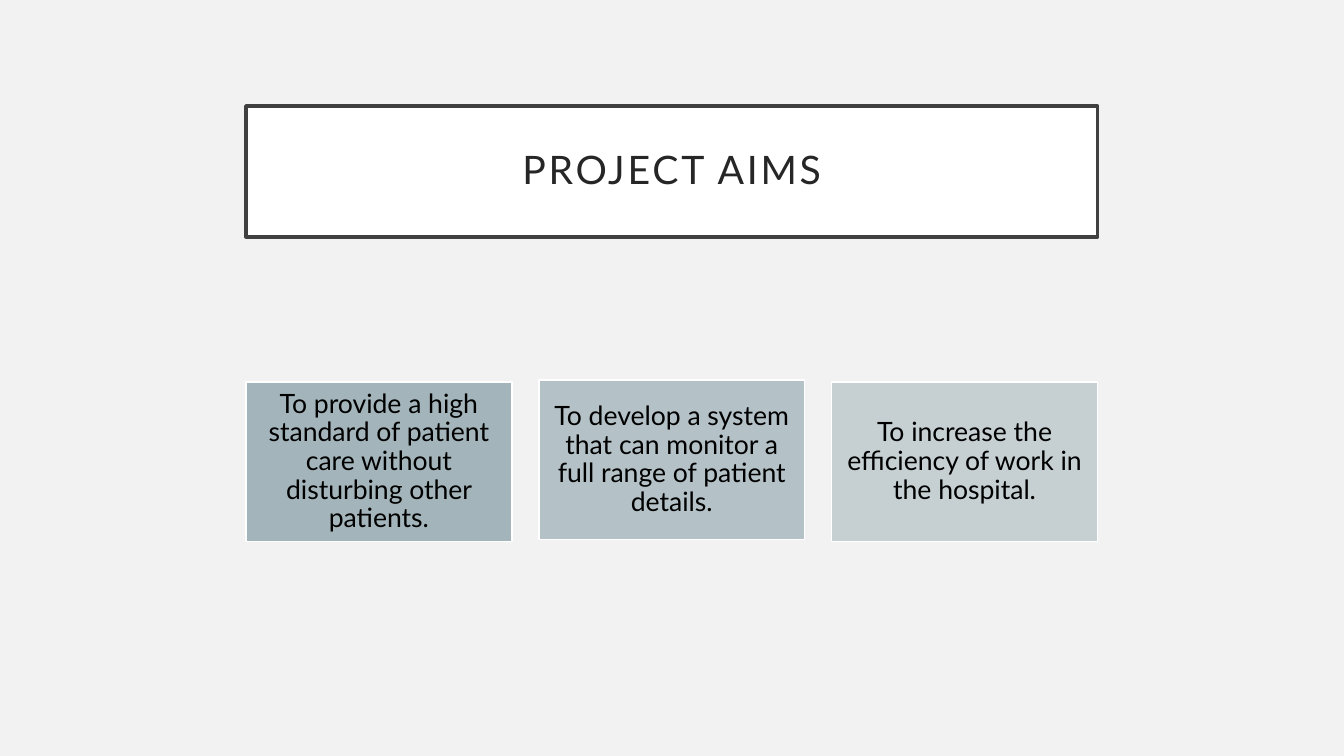
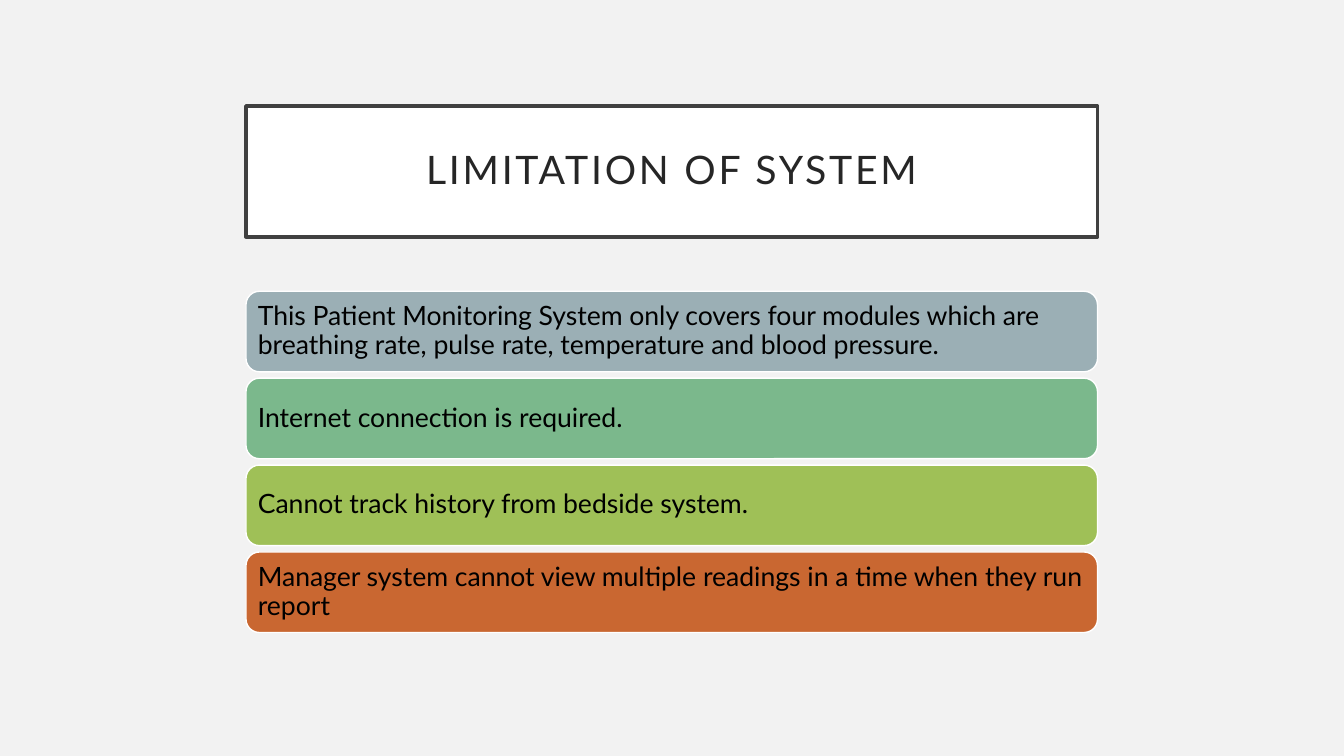
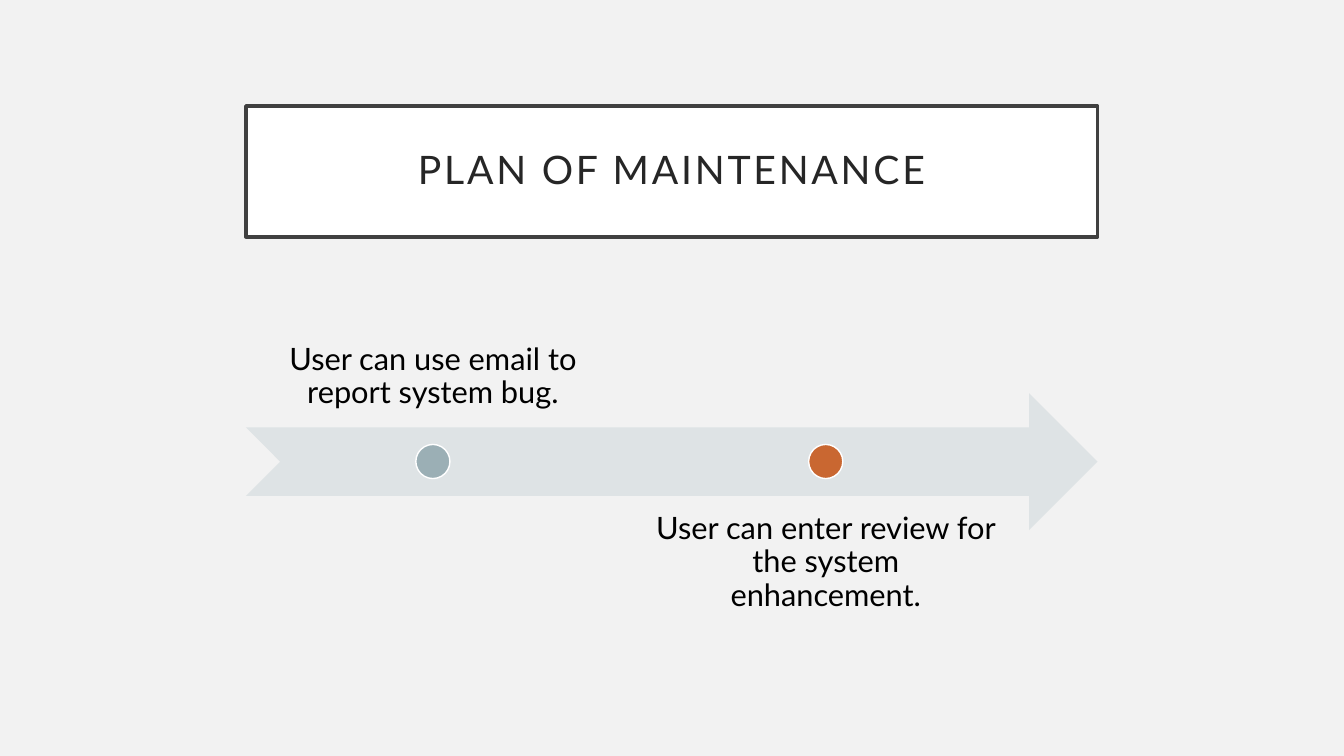
"""Build three slides on a patient monitoring system: aims, limitations and maintenance."""
import pptx
import pptx.dml.color
import pptx.enum.shapes
import pptx.enum.text
import pptx.oxml.ns
import pptx.util
import lxml.etree

Cm = pptx.util.Cm
Pt = pptx.util.Pt
colour = pptx.dml.color.RGBColor.from_string
Shape = pptx.enum.shapes.MSO_SHAPE
Align = pptx.enum.text.PP_ALIGN
Anchor = pptx.enum.text.MSO_ANCHOR

FONT = "Lato"
PAPER, WHITE, BLACK = "F2F2F2", "FFFFFF", "000000"
FRAME, TITLE_INK = "404040", "262626"
SLATE, GREEN, LIME, RUST, PALE = "9BAFB5", "7BB88C", "9FC057", "C96731", "DEE3E5"
LEFT, WIDTH = 6.2, 21.46


def draw(page, kind, area, fill, line=WHITE, weight=1):
    """Add a filled preset shape; area is left, top, width, height in cm."""
    shape = page.shapes.add_shape(kind, *map(Cm, area))
    shape.shadow.inherit = False
    shape.fill.solid()
    shape.fill.fore_color.rgb = colour(fill)
    if line:
        shape.line.color.rgb = colour(line)
        shape.line.width = Pt(weight)
    else:
        shape.line.fill.background()
    return shape


def write(box, text, size, inset, align=Align.CENTER, anchor=Anchor.MIDDLE, ink=BLACK):
    """Put one paragraph into a shape or text box and return its run."""
    frame = box.text_frame
    frame.word_wrap = True
    frame.vertical_anchor = anchor
    frame.margin_left = frame.margin_right = Cm(inset)
    frame.margin_top = frame.margin_bottom = Cm(inset)
    para = frame.paragraphs[0]
    para.alignment = align
    para.line_spacing = 0.9
    span = para.add_run()
    span.text = text
    span.font.name = FONT
    span.font.size = Pt(size)
    span.font.color.rgb = colour(ink)
    return span


deck = pptx.Presentation()
deck.slide_width, deck.slide_height = Cm(33.87), Cm(19.05)
backdrop = deck.slide_master.background.fill
backdrop.solid()
backdrop.fore_color.rgb = colour(PAPER)

pages = []
for title in ["PROJECT AIMS", "LIMITATION OF SYSTEM", "PLAN OF MAINTENANCE"]:
    page = deck.slides.add_slide(deck.slide_layouts[6])
    banner = draw(page, Shape.RECTANGLE, (LEFT, 2.67, WIDTH, 3.3), WHITE, FRAME, 2.5)
    span = write(banner, title, 28, 0.5, ink=TITLE_INK)
    span.font._element.set("spc", "200")
    pages.append(page)
aims_page, limits_page, plan_page = pages

aims = [
    ("To provide a high standard of patient care without disturbing other patients.", 9.63, 90),
    ("To develop a system that can monitor a full range of patient details.", 9.58, 70),
    ("To increase the efficiency of work in the hospital.", 9.63, 50),
]
for index, (text, top, opacity) in enumerate(aims):
    card = draw(aims_page, Shape.RECTANGLE, (LEFT + index * 7.38, top, 6.7, 4.02), SLATE)
    tint = card.fill._xPr.find(".//" + pptx.oxml.ns.qn("a:srgbClr"))
    alpha = lxml.etree.SubElement(tint, pptx.oxml.ns.qn("a:alpha"))
    alpha.set("val", str(opacity * 1000))
    write(card, text, 19, 0.2)

limits = [
    ("This Patient Monitoring System only covers four modules which are "
     "breathing rate, pulse rate, temperature and blood pressure.", SLATE),
    ("Internet connection is required.", GREEN),
    ("Cannot track history from bedside system.", LIME),
    ("Manager system cannot view multiple readings in a time when they run report", RUST),
]
for index, (text, fill) in enumerate(limits):
    bar = draw(limits_page, Shape.ROUNDED_RECTANGLE,
               (LEFT, 7.34 + index * 2.19, WIDTH, 2.03), fill)
    write(bar, text, 19, 0.2, Align.LEFT)

draw(plan_page, Shape.NOTCHED_RIGHT_ARROW, (LEFT, 9.91, WIDTH, 3.45), PALE, None)
steps = [
    ("User can use email to report system bug.", 7.32, Anchor.BOTTOM, SLATE),
    ("User can enter review for the system enhancement.", 12.5, Anchor.TOP, RUST),
]
label_width, dot = 9.42, 0.86
for index, (text, top, anchor, fill) in enumerate(steps):
    left = LEFT + index * 9.9
    label = plan_page.shapes.add_textbox(Cm(left), Cm(top), Cm(label_width), Cm(3.45))
    write(label, text, 22, 0.43, anchor=anchor)
    draw(plan_page, Shape.OVAL, (left + (label_width - dot) / 2, 11.2, dot, dot), fill)

deck.save("out.pptx")
